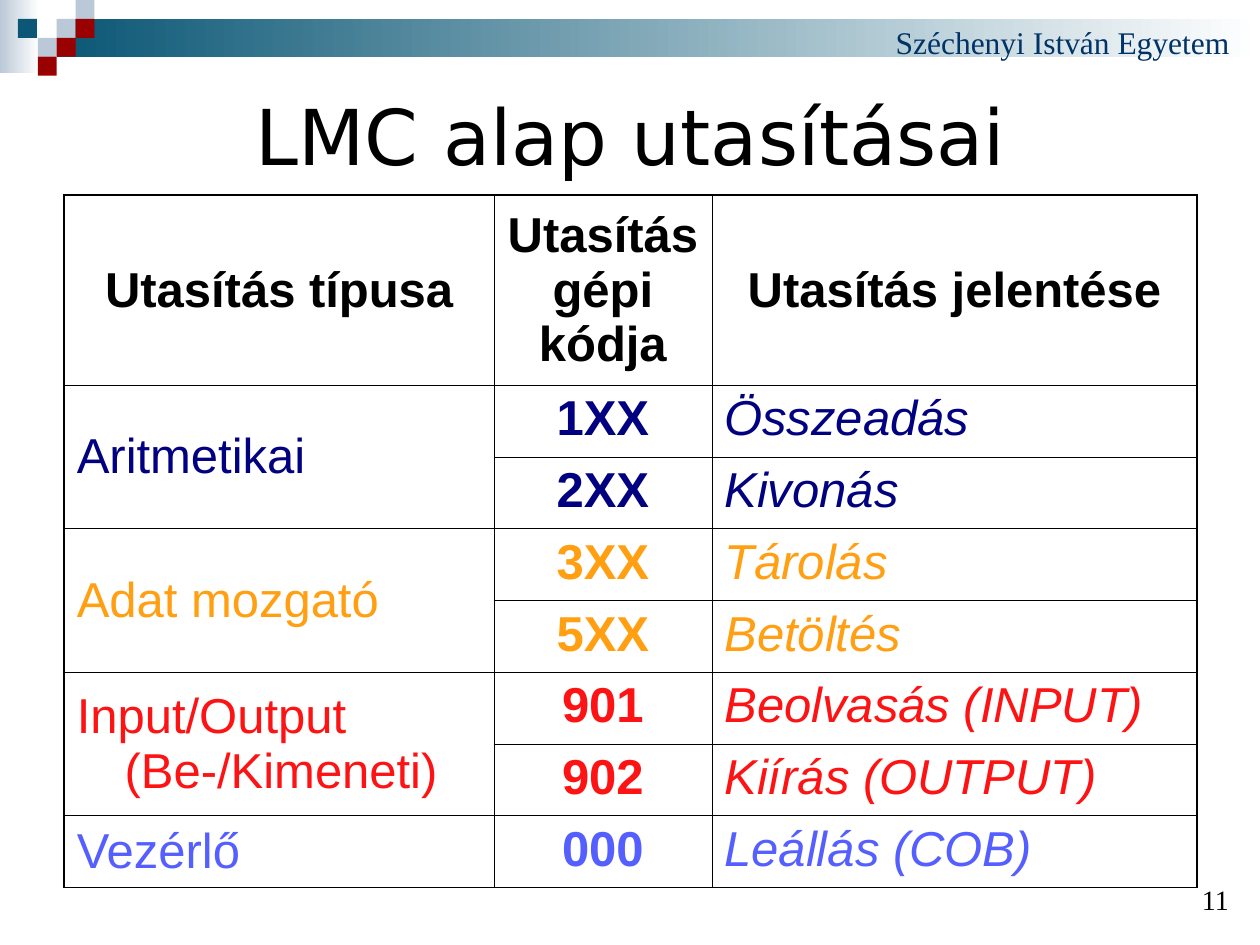
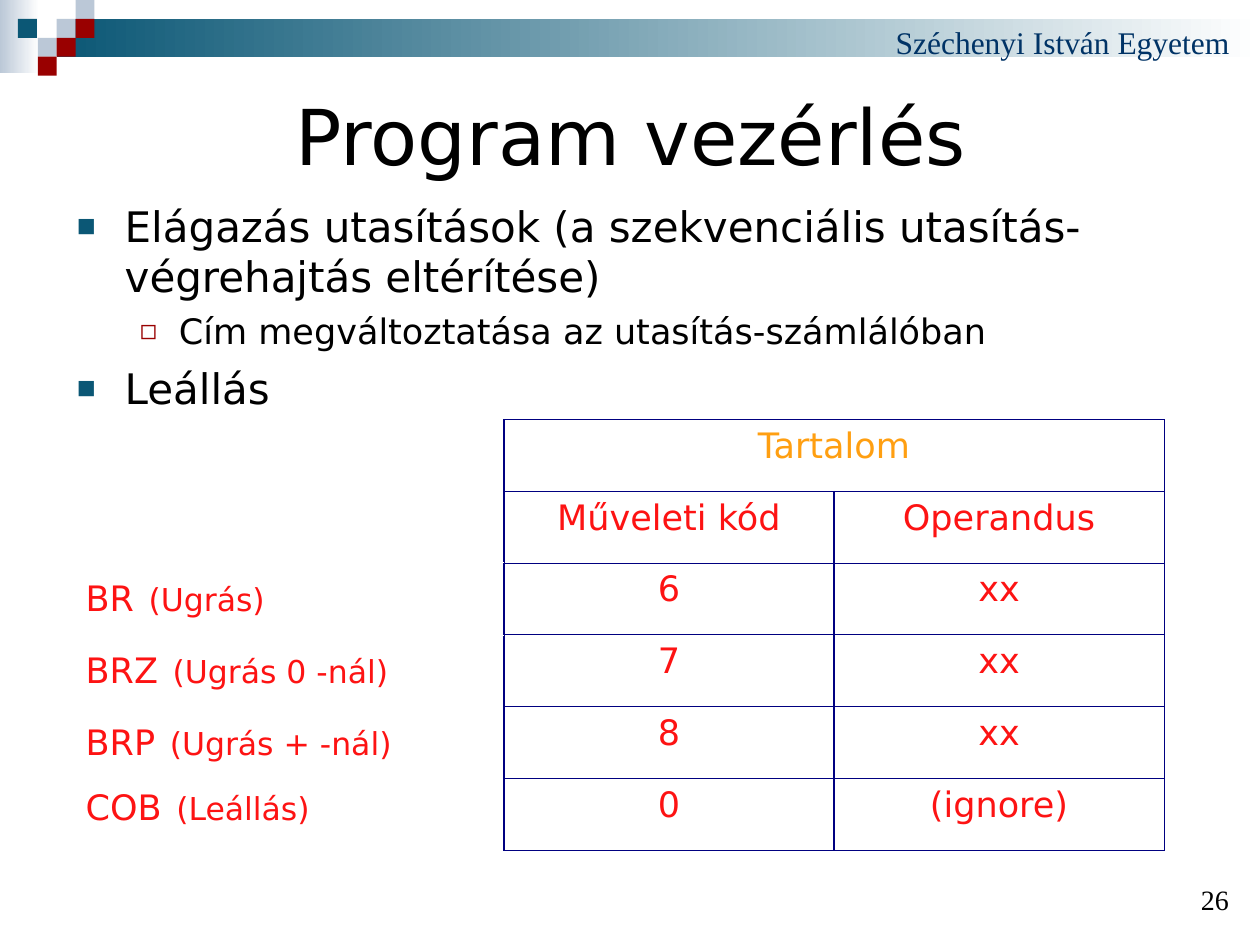
from dataclasses import dataclass
from typing import NamedTuple

import pptx
import pptx.dml.color
import pptx.enum.shapes
import pptx.enum.text
import pptx.oxml
import pptx.oxml.ns
import pptx.util

ALIGN = pptx.enum.text.PP_ALIGN
ANCHOR = pptx.enum.text.MSO_ANCHOR
Pt = pptx.util.Pt

# Shared colours and fonts
BLACK, NAVY, ORANGE, RED, VIOLET = "000000", "000080", "FF9F11", "FD1313", "555FFF"
TEAL, MIST, WINE, WHITE, INK = "0B5775", "BBC8D7", "990000", "FFFFFF", "003366"
SANS, ARIAL, SERIF = "DejaVu Sans", "Arial", "Times New Roman"
WIDE, HIGH = pptx.util.Inches(10), pptx.util.Inches(7.5)
TILE_W, TILE_H = 1.5, 2  # mosaic grid, percent of the slide
ROW = 7.6  # plain table row, percent of the height


class Box(NamedTuple):
    """Place in percent of the slide's width and height."""
    left: float
    top: float
    wide: float
    high: float

    def place(self) -> tuple:
        return (across(self.left), down(self.top), across(self.wide), down(self.high))


@dataclass(frozen=True)
class Look:
    size: float
    hue: str = BLACK
    face: str = SANS
    align: ALIGN = ALIGN.LEFT
    bold: bool = False
    slant: bool = False


class Tile(NamedTuple):
    col: float
    row: float
    hue: str


class Item(NamedTuple):
    text: str
    level: int
    before: float


class Level(NamedTuple):
    size: float
    left: float
    hang: float
    mark: str
    hue: str
    share: int


class Group(NamedTuple):
    kind: str
    hue: str
    codes: tuple


TILES = [Tile(3, 1, MIST), Tile(4, 0, MIST), Tile(4, 1, WINE), Tile(2, 2, MIST),
         Tile(0.95, 1, TEAL), Tile(3, 2, WINE), Tile(2, 3, WINE)]
FADES = [(Box(0, 0, 3.1, 7.73), MIST), (Box(4.5, 2, 95.5, 4), TEAL)]
LEVELS = [Level(24, 0.38, 0.38, "■", TEAL, 75), Level(20, 0.81, 0.31, "◻", WINE, 80)]

HEADS = ["Utasítás típusa", "Utasítás gépi kódja", "Utasítás jelentése"]
GROUPS = [
    Group("Aritmetikai", NAVY, (("1XX", "Összeadás"), ("2XX", "Kivonás"))),
    Group("Adat mozgató", ORANGE, (("3XX", "Tárolás"), ("5XX", "Betöltés"))),
    Group("Input/Output\v(Be-/Kimeneti)", RED,
          (("901", "Beolvasás (INPUT)"), ("902", "Kiírás (OUTPUT)"))),
    Group("Vezérlő", VIOLET, (("000", "Leállás (COB)"),)),
]
ITEMS = [
    Item("Elágazás utasítások (a szekvenciális utasítás-végrehajtás eltérítése)", 0, 0),
    Item("Cím megváltoztatása az utasítás-számlálóban", 1, 5),
    Item("Leállás", 0, 6),
]
JUMPS = [("BR", "(Ugrás)", "6", "xx"), ("BRZ", "(Ugrás 0 -nál)", "7", "xx"),
         ("BRP", "(Ugrás + -nál)", "8", "xx"), ("COB", "(Leállás)", "0", "(ignore)")]


# Helpers
def across(share: float) -> int:
    return round(WIDE * share / 100)


def down(share: float) -> int:
    return round(HIGH * share / 100)


def tint(code: str) -> pptx.dml.color.RGBColor:
    return pptx.dml.color.RGBColor.from_string(code)


def node(xml: str):
    name, rest = xml.split(" ", 1)
    space = pptx.oxml.ns.nsdecls("a")
    return pptx.oxml.parse_xml(f"<a:{name} {space} {rest}")


def style(para, look: Look) -> None:
    para.alignment = look.align
    font = para.font
    font.size, font.name = Pt(look.size), look.face
    font.bold, font.italic = look.bold, look.slant
    font.color.rgb = tint(look.hue)


def indent(para, left: float, hang: float):
    props = para._p.get_or_add_pPr()
    props.set("marL", str(pptx.util.Inches(left)))
    props.set("indent", str(-pptx.util.Inches(hang)))
    return props


def block(slide, box: Box, hue: str, fade: bool = False):
    shape = slide.shapes.add_shape(pptx.enum.shapes.MSO_SHAPE.RECTANGLE, *box.place())
    shape.shadow.inherit = False
    shape.line.fill.background()
    if fade:
        shape.fill.gradient()
        shape.fill.gradient_angle = 0
        for stop, code in zip(shape.fill.gradient_stops, (hue, WHITE)):
            stop.color.rgb = tint(code)
    else:
        shape.fill.solid()
        shape.fill.fore_color.rgb = tint(hue)
    return shape


def label(slide, box: Box, text: str, look: Look, anchor: ANCHOR = ANCHOR.TOP):
    shape = slide.shapes.add_textbox(*box.place())
    frame = shape.text_frame
    frame.word_wrap, frame.vertical_anchor = True, anchor
    frame.text = text
    style(frame.paragraphs[0], look)
    return shape


def brand(deck, slide) -> None:
    """Draw the shared band and mosaic, then move them to the master."""
    parts = [block(slide, box, hue, True) for box, hue in FADES]
    parts += [block(slide, Box(t.col * TILE_W, t.row * TILE_H, TILE_W, TILE_H), t.hue)
              for t in TILES]
    parts.append(label(slide, Box(70.1, 1.73, 29.9, 5.33), "Széchenyi István Egyetem",
                       Look(18, INK, SERIF)))
    tree = deck.slide_master.element.cSld.spTree
    for num, part in enumerate(parts, 100):
        part.element.nvSpPr.cNvPr.set("id", str(num))
        tree.append(part.element)


def start(deck, layout: int, title: str, page: int):
    slide = deck.slides.add_slide(deck.slide_layouts[layout])
    head = slide.shapes.title
    head.left, head.top, head.width, head.height = Box(5.1, 9.07, 90, 10.27).place()
    frame = head.text_frame
    frame.text = title
    frame.vertical_anchor = ANCHOR.MIDDLE
    frame.auto_size = pptx.enum.text.MSO_AUTO_SIZE.NONE
    style(frame.paragraphs[0], Look(44, align=ALIGN.CENTER))
    label(slide, Box(87, 93.07, 11.5, 4.53), str(page),
          Look(16, face=SERIF, align=ALIGN.RIGHT), ANCHOR.BOTTOM)
    return slide


# Tables
def grid(slide, left: float, top: float, cols: list, rows: list):
    box = Box(left, top, sum(cols), sum(rows))
    table = slide.shapes.add_table(len(rows), len(cols), *box.place()).table
    table.first_row = table.horz_banding = False
    for col, share in zip(table.columns, cols):
        col.width = across(share)
    for row, share in zip(table.rows, rows):
        row.height = down(share)
    for cell in table.iter_cells():
        cell.fill.background()
    return table


def write(cell, text: str, look: Look, anchor: ANCHOR = ANCHOR.TOP):
    cell.text, cell.vertical_anchor = text, anchor
    para = cell.text_frame.paragraphs[0]
    style(para, look)
    return para


def edge(cell, side: str, hue: str, width: float, spot: int) -> None:
    line = node(f'ln{side} w="{Pt(width)}"><a:solidFill><a:srgbClr val="{hue}"/>'
                f'</a:solidFill></a:ln{side}>')
    cell._tc.get_or_add_tcPr().insert(spot, line)


def rule(table, hue: str, inner: float, outer: float, first: int = 0) -> None:
    """Rule the cells from the first column on, with a heavier outer edge."""
    last, end = len(table.columns) - 1, len(table.rows) - 1
    for row in range(end + 1):
        for col in range(first, last + 1):
            rims = {"L": col == first, "R": col == last, "T": row == 0, "B": row == end}
            for spot, (side, rim) in enumerate(rims.items()):
                edge(table.cell(row, col), side, hue, outer if rim else inner, spot)


# Slide: instruction set
def codes(deck):
    slide = start(deck, 5, "LMC alap utasításai", 11)
    table = grid(slide, 5.1, 20.67 - 0.02, [34.1, 17.3, 38.5], [20.1] + [ROW] * 7)
    for col, head in enumerate(HEADS):
        write(table.cell(0, col), head, Look(28, BLACK, ARIAL, ALIGN.CENTER, True),
              ANCHOR.MIDDLE)
    row = 1
    for group in GROUPS:
        kind = table.cell(row, 0)
        if len(group.codes) > 1:
            kind.merge(table.cell(row + len(group.codes) - 1, 0))
        para = write(kind, group.kind, Look(28, group.hue, ARIAL), ANCHOR.MIDDLE)
        indent(para, 0.38, 0.38)
        for code, sense in group.codes:
            write(table.cell(row, 1), code,
                  Look(28, group.hue, ARIAL, ALIGN.CENTER, bold=True))
            write(table.cell(row, 2), sense,
                  Look(28, group.hue, ARIAL, ALIGN.JUSTIFY, slant=True))
            row += 1
    rule(table, BLACK, 0.45, 0.96)
    return slide


# Slide: program control
def listing(slide) -> None:
    body = slide.placeholders[1]
    body.left, body.top, body.width, body.height = Box(5.1, 20.53, 89.9, 64.93).place()
    frame = body.text_frame
    frame.auto_size = pptx.enum.text.MSO_AUTO_SIZE.NONE
    for num, item in enumerate(ITEMS):
        para = frame.add_paragraph() if num else frame.paragraphs[0]
        para.text, para.level = item.text, item.level
        para.space_before = Pt(item.before)
        level = LEVELS[item.level]
        props = indent(para, level.left, level.hang)
        props.append(node(f'buClr ><a:srgbClr val="{level.hue}"/></a:buClr>'))
        props.append(node(f'buSzPct val="{level.share * 1000}"/>'))
        props.append(node(f'buChar char="{level.mark}"/>'))
        style(para, Look(level.size))


def control(deck) -> None:
    slide = start(deck, 1, "Program vezérlés", 26)
    listing(slide)
    table = grid(slide, 5.8, 44.4, [29.8, 4.4, 26.2, 26.2], [ROW] * 6)
    mid = Look(20, RED, align=ALIGN.CENTER)
    table.cell(0, 2).merge(table.cell(0, 3))
    write(table.cell(0, 2), "Tartalom", Look(20, ORANGE, align=ALIGN.CENTER))
    write(table.cell(1, 2), "Műveleti kód", mid)
    write(table.cell(1, 3), "Operandus", mid)
    for row, (name, note, code, operand) in enumerate(JUMPS, 2):
        para = write(table.cell(row, 0), "", Look(20, RED))
        for text, size in ((name, 20), (" ", 26), (note, 18)):
            run = para.add_run()
            run.text, run.font.size = text, Pt(size)
        if name == "COB":
            para.line_spacing = 0.85
        write(table.cell(row, 2), code, mid)
        write(table.cell(row, 3), operand, mid)
    rule(table, NAVY, 0.75, 0.75, first=2)
    for row in range(len(table.rows)):
        edge(table.cell(row, 1), "R", NAVY, 0.75, 0)


def main() -> None:
    deck = pptx.Presentation()
    deck.slide_width, deck.slide_height = WIDE, HIGH
    brand(deck, codes(deck))
    control(deck)
    deck.save("out.pptx")


if __name__ == "__main__":
    main()
